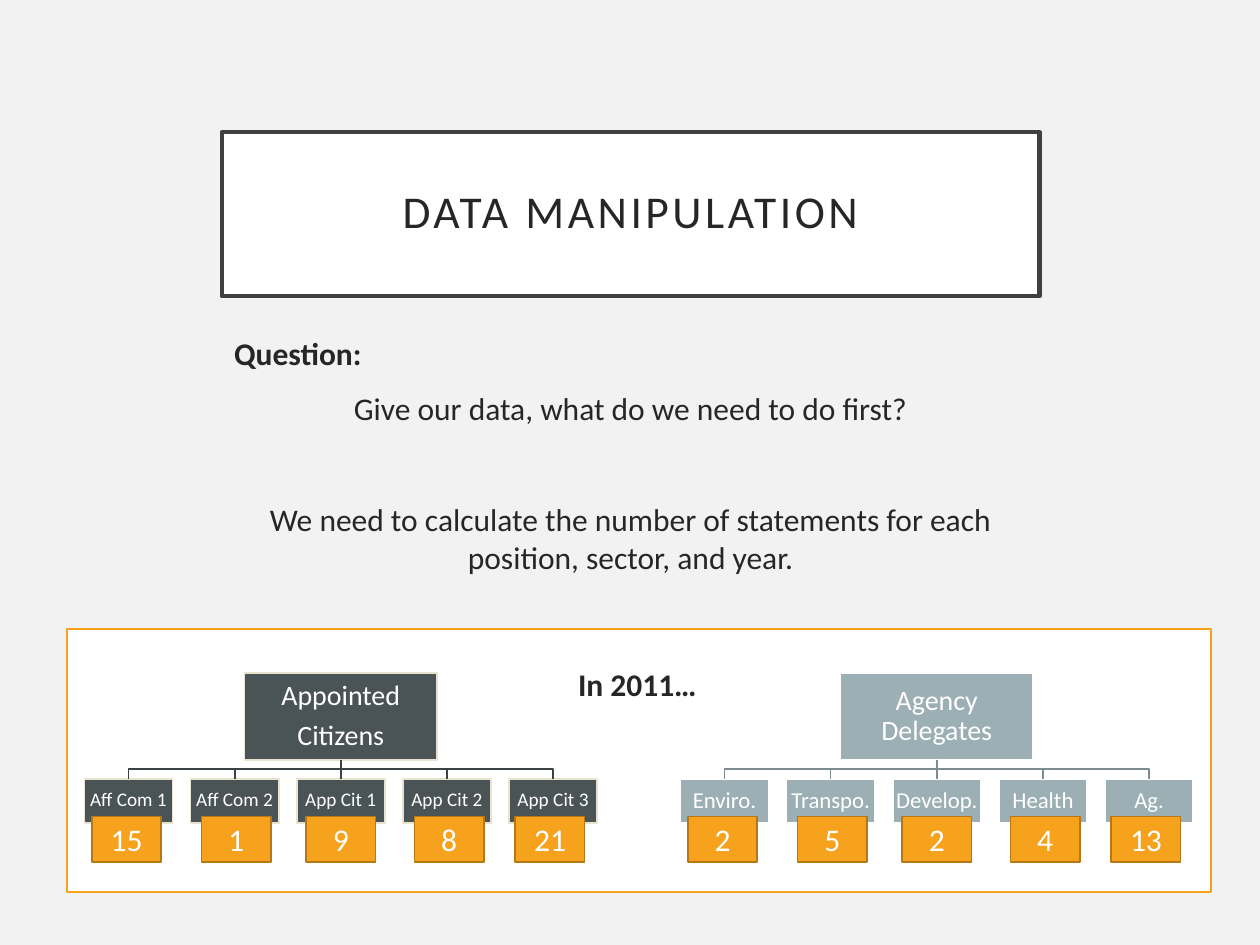
from dataclasses import dataclass

from lxml import etree
from pptx import Presentation
from pptx.dml.color import RGBColor
from pptx.enum.shapes import MSO_CONNECTOR, MSO_SHAPE
from pptx.enum.text import MSO_ANCHOR, PP_ALIGN
from pptx.oxml.ns import qn
from pptx.util import Inches, Pt

RECT = MSO_SHAPE.RECTANGLE
STRAIGHT = MSO_CONNECTOR.STRAIGHT
MIDDLE = MSO_ANCHOR.MIDDLE
LEFT, CENTER = PP_ALIGN.LEFT, PP_ALIGN.CENTER
BOTTOM, TOP = 2, 0


@dataclass(frozen=True)
class Theme:
    """Hold the colours and type sizes."""
    font: str = "Calibri"
    back: str = "F2F2F2"
    white: str = "FFFFFF"
    ink: str = "262626"
    frame: str = "404040"
    gold: str = "F6A21D"
    rim: str = "B67815"
    slate: str = "4A5356"
    cream: str = "E8E3CE"
    dark: str = "3B4245"
    mist: str = "9BAFB5"
    steel: str = "7C8C91"
    title: int = 26
    body: int = 18
    root: int = 16
    small: int = 11
    leaf: int = 13


@dataclass(frozen=True)
class Tree:
    """Describe one group of positions and its counts."""
    left: float
    head: tuple
    names: tuple
    counts: tuple
    fill: str
    edge: str
    line: str
    size: int


THEME = Theme()
TREES = (
    Tree(0.67, ("Appointed", "Citizens"),
         ("Aff Com 1", "Aff Com 2", "App Cit 1", "App Cit 2", "App Cit 3"),
         (15, 1, 9, 8, 21), THEME.slate, THEME.cream, THEME.dark, THEME.small),
    Tree(5.4, ("Agency Delegates",),
         ("Enviro.", "Transpo.", "Develop.", "Health", "Ag."),
         (2, 5, 2, 4, 13), THEME.mist, THEME.white, THEME.steel, THEME.leaf),
)
STEP = 3.37 / 4
LEAF_W, LEAF_H, LEAF_Y = 0.7, 0.35, 6.18
ROOT_W, ROOT_H, ROOT_Y = 1.53, 0.69, 5.34
TAG_X = (0.06, 0.93, 1.76, 2.62, 3.42)


def color(code):
    """Turn a hex code into a colour."""
    return RGBColor.from_string(code)


def write(par, text, size, ink, bold=False):
    """Add one run to a paragraph."""
    run = par.add_run()
    run.text = text
    run.font.name = THEME.font
    run.font.size = Pt(size)
    run.font.bold = bold
    run.font.color.rgb = color(ink)
    return run


def add_box(slide, x, y, w, h, fill, edge, width=1):
    """Add a filled and outlined rectangle."""
    box = slide.shapes.add_shape(RECT, Inches(x), Inches(y), Inches(w), Inches(h))
    box.shadow.inherit = False
    box.fill.solid()
    box.fill.fore_color.rgb = color(fill)
    box.line.color.rgb = color(edge)
    box.line.width = Pt(width)
    return box


def label(box, lines, size, ink, inset=None):
    """Centre lines of text in a box and return the runs."""
    frame = box.text_frame
    frame.word_wrap = True
    frame.vertical_anchor = MIDDLE
    if inset is not None:
        frame.margin_left = frame.margin_right = Inches(inset)
        frame.margin_top = frame.margin_bottom = Inches(inset)
    runs = []
    for i, line in enumerate(lines):
        par = frame.add_paragraph() if i else frame.paragraphs[0]
        par.alignment = CENTER
        if inset is not None:
            par.line_spacing = 0.9
        if i:
            par.space_before = Pt(5.5)
        runs.append(write(par, line, size, ink))
    return runs


def add_text(slide, x, y, w, h, rows):
    """Add a text box of (text, alignment, bold, space before) rows."""
    frame = slide.shapes.add_textbox(
        Inches(x), Inches(y), Inches(w), Inches(h)).text_frame
    frame.word_wrap = True
    for i, (text, align, bold, gap) in enumerate(rows):
        par = frame.add_paragraph() if i else frame.paragraphs[0]
        par.alignment = align
        par.space_before = Pt(gap)
        write(par, text, THEME.body, THEME.ink, bold)


def add_elbow(slide, start, end, ink):
    """Draw a stepped branch that turns halfway down."""
    (x1, y1), (x2, y2) = start, end
    mid = (y1 + y2) // 2
    pen = slide.shapes.build_freeform(x1, y1)
    pen.add_line_segments([(x1, mid), (x2, mid), (x2, y2)], close=False)
    path = pen.convert_to_shape()
    path.shadow.inherit = False
    path.fill.background()
    path.line.color.rgb = color(ink)
    path.line.width = Pt(1)


def add_stem(slide, root, leaf, ink):
    """Join a root to the leaf right below it."""
    stem = slide.shapes.add_connector(STRAIGHT, 0, 0, 0, 0)
    stem.begin_connect(root, BOTTOM)
    stem.end_connect(leaf, TOP)
    stem.line.color.rgb = color(ink)
    stem.line.width = Pt(1)
    etree.SubElement(stem._element.spPr, qn("a:effectLst"))


def add_tree(slide, tree):
    """Draw a root, its leaves, branches and counts."""
    mid = tree.left + 2 * STEP + LEAF_W / 2
    root = add_box(slide, mid - ROOT_W / 2, ROOT_Y, ROOT_W, ROOT_H,
                   tree.fill, tree.edge)
    label(root, tree.head, THEME.root, THEME.white, 0.01)
    start = (Inches(mid), Inches(ROOT_Y + ROOT_H))
    for i, name in enumerate(tree.names):
        x = tree.left + i * STEP
        leaf = add_box(slide, x, LEAF_Y, LEAF_W, LEAF_H, tree.fill, tree.edge)
        label(leaf, [name], tree.size, THEME.white, 0.01)
        if i == 2:
            add_stem(slide, root, leaf, tree.line)
        else:
            end = (Inches(x + LEAF_W / 2), Inches(LEAF_Y))
            add_elbow(slide, start, end, tree.line)
    for x, count in zip(TAG_X, tree.counts):
        tag = add_box(slide, tree.left + x, 6.48, 0.55, 0.36,
                      THEME.gold, THEME.rim)
        label(tag, [str(count)], THEME.body, THEME.white)


def main():
    """Build and save the slide."""
    deck = Presentation()
    deck.slide_width, deck.slide_height = Inches(10), Inches(7.5)
    slide = deck.slides.add_slide(deck.slide_layouts[6])
    slide.background.fill.solid()
    slide.background.fill.fore_color.rgb = color(THEME.back)
    add_text(slide, 1.76, 2.6, 6.49, 4.57, [
        ("Question:", LEFT, True, 10),
        ("Give our data, what do we need to do first?", CENTER, False, 10),
        ("We need to calculate the number of statements for each "
         "position, sector, and year.", CENTER, False, 42),
    ])
    title = add_box(slide, 1.76, 1.05, 6.49, 1.3, THEME.white, THEME.frame, 2.5)
    for run in label(title, ["DATA MANIPULATION"], THEME.title, THEME.ink, 0.2):
        run.font._element.set("spc", "200")
    add_box(slide, 0.53, 4.99, 9.08, 2.09, THEME.white, THEME.gold)
    for tree in TREES:
        add_tree(slide, tree)
    add_text(slide, 4.49, 5.23, 1.34, 0.5, [("In 2011…", LEFT, True, 10)])
    deck.save("out.pptx")


if __name__ == "__main__":
    main()
